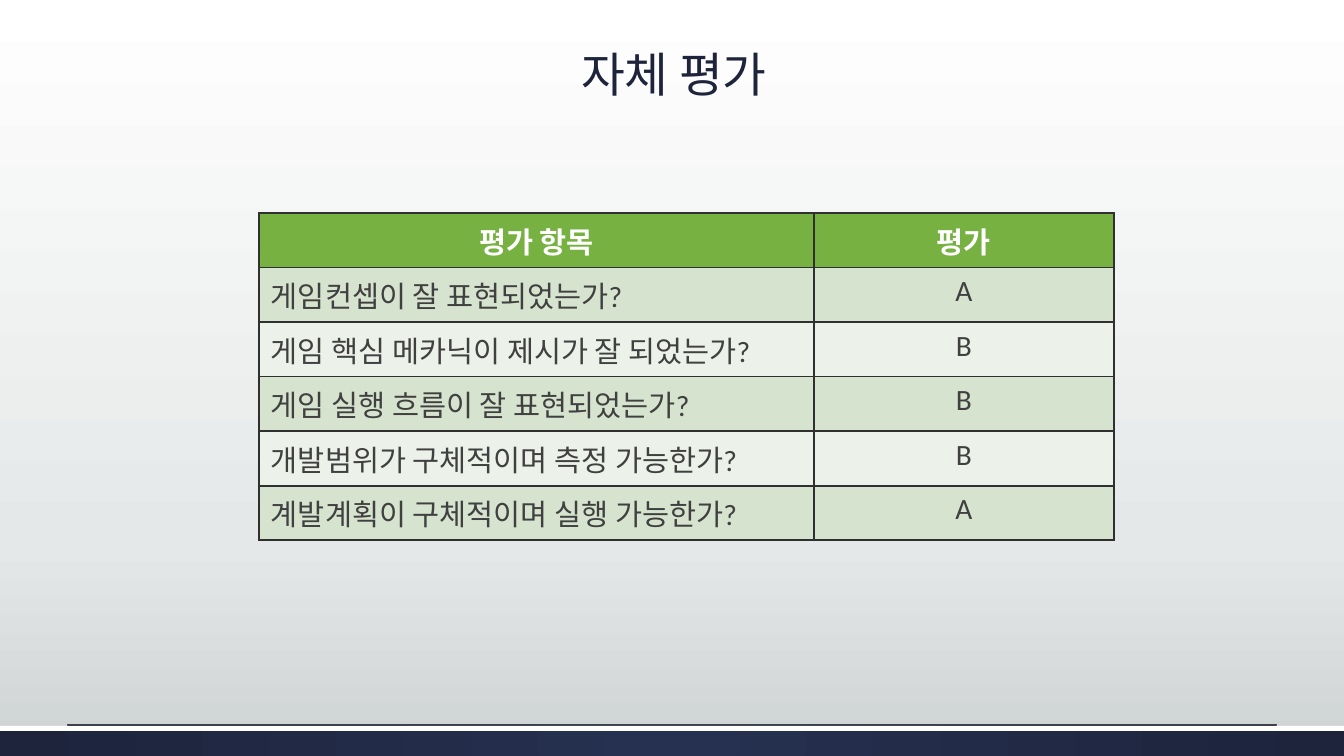
import pptx
import pptx.util
import pptx.dml.color
import pptx.enum.dml
import pptx.enum.shapes
import pptx.enum.text
import pptx.oxml
import pptx.oxml.ns
from dataclasses import dataclass

PX = 914400 / 100.8
ALIGN = pptx.enum.text.PP_ALIGN
NS = pptx.oxml.ns.nsdecls("a")


@dataclass(frozen=True)
class Theme:
    navy: str = "1D243C"
    glow: str = "263050"
    white: str = "FFFFFF"
    mist: str = "E5E8E8"
    gray: str = "CDD2D2"
    green: str = "77B142"
    bands: tuple = ("D6E4CF", "ECF2E9")
    ink: str = "404040"
    edge: str = "303030"
    latin: str = "Calibri"
    asian: str = "Noto Sans CJK KR"
    head: int = 34
    body: int = 21


THEME = Theme()
ROWS = [
    ("평가 항목", "평가"),
    ("게임컨셉이 잘 표현되었는가?", "A"),
    ("게임 핵심 메카닉이 제시가 잘 되었는가?", "B"),
    ("게임 실행 흐름이 잘 표현되었는가?", "B"),
    ("개발범위가 구체적이며 측정 가능한가?", "B"),
    ("계발계획이 구체적이며 실행 가능한가?", "A"),
]


def px(num):
    return pptx.util.Emu(round(num * PX))


def box(*nums):
    return [px(num) for num in nums]


def rgb(code):
    return pptx.dml.color.RGBColor.from_string(code)


def paint(fill, color):
    fill.solid()
    fill.fore_color.rgb = rgb(color)


def blend(fill, host, stops, shade):
    """Fill with a gradient; stops pair a percentage with a colour."""
    fill.gradient()
    old = host.find(".//" + pptx.oxml.ns.qn("a:gradFill"))
    marks = "".join(
        f'<a:gs pos="{pos * 1000}"><a:srgbClr val="{color}"/></a:gs>'
        for pos, color in stops)
    new = pptx.oxml.parse_xml(
        f'<a:gradFill {NS} rotWithShape="1"><a:gsLst>{marks}</a:gsLst>{shade}</a:gradFill>')
    old.getparent().replace(old, new)


def write(frame, text, size=THEME.body, color=THEME.ink, bold=False,
          font=THEME.latin, align=ALIGN.LEFT, space=None):
    para = frame.paragraphs[0]
    para.alignment = align
    para.line_spacing = space
    run = para.add_run()
    run.text = text
    run.font.size = pptx.util.Pt(size)
    run.font.bold = bold
    run.font.name = font
    run.font.color.rgb = rgb(color)
    run.font._element.find(pptx.oxml.ns.qn("a:latin")).addnext(
        pptx.oxml.parse_xml(f'<a:ea {NS} typeface="{THEME.asian}"/>'))


def add_bar(slide, top, high):
    bar = slide.shapes.add_shape(
        pptx.enum.shapes.MSO_SHAPE.RECTANGLE, *box(0, top, 1344, high))
    bar.shadow.inherit = False
    bar.line.fill.background()
    return bar


def add_rule(slide, left, right, top):
    rule = slide.shapes.add_connector(
        pptx.enum.shapes.MSO_CONNECTOR.STRAIGHT, *box(left, top, right, top))
    rule.line.color.rgb = rgb(THEME.ink)
    rule.line.width = pptx.util.Pt(0.75)
    rule._element.spPr.append(pptx.oxml.parse_xml(f"<a:effectLst {NS}/>"))


def edge(cell):
    """Draw the four borders, which come before the cell's fill."""
    props = cell._tc.get_or_add_tcPr()
    for spot, side in enumerate("LRTB"):
        props.insert(spot, pptx.oxml.parse_xml(
            f'<a:ln{side} {NS} w="19050"><a:solidFill>'
            f'<a:srgbClr val="{THEME.edge}"/></a:solidFill></a:ln{side}>'))


def add_grid(slide, rows, left, top, wides, high):
    grid = slide.shapes.add_table(
        len(rows), len(wides),
        *box(left, top, sum(wides), high * len(rows))).table
    for col, wide in zip(grid.columns, wides):
        col.width = px(wide)
    for r, row in enumerate(rows):
        grid.rows[r].height = px(high)
        for c, text in enumerate(row):
            cell = grid.cell(r, c)
            cell.margin_left = cell.margin_right = px(12)
            cell.margin_top = cell.margin_bottom = px(6)
            paint(cell.fill, THEME.bands[(r - 1) % 2] if r else THEME.green)
            edge(cell)
            write(cell.text_frame, text, bold=r == 0,
                  color=THEME.ink if r else THEME.white,
                  align=ALIGN.LEFT if r and c == 0 else ALIGN.CENTER)


def add_title(slide, text):
    title = slide.shapes.title
    title.left, title.top, title.width, title.height = box(150, 34, 1048, 74)
    frame = title.text_frame
    frame.word_wrap = True
    frame.auto_size = pptx.enum.text.MSO_AUTO_SIZE.NONE
    frame.vertical_anchor = pptx.enum.text.MSO_ANCHOR.BOTTOM
    write(frame, text, size=THEME.head, color=THEME.navy,
          font=THEME.asian, align=ALIGN.CENTER, space=0.9)


def main():
    deck = pptx.Presentation()
    deck.slide_width, deck.slide_height = box(1344, 756)
    slide = deck.slides.add_slide(deck.slide_layouts[5])

    # Backdrop
    blend(slide.background.fill, slide._element,
          [(0, THEME.white), (72, THEME.mist), (100, THEME.gray)],
          '<a:lin ang="5400000" scaled="0"/>')

    # Footer band with its white strip and thin rule
    band = add_bar(slide, 726, 30)
    blend(band.fill, band._element, [(0, THEME.glow), (100, THEME.navy)],
          '<a:path path="circle"><a:fillToRect l="50000" t="50000" '
          'r="50000" b="50000"/></a:path>')
    paint(add_bar(slide, 726, 5).fill, THEME.white)
    add_rule(slide, 67, 1277, 725)

    # Title and ratings
    add_title(slide, "자체 평가")
    add_grid(slide, ROWS, 259, 213, (555, 300), 48)

    deck.save("out.pptx")


if __name__ == "__main__":
    main()
